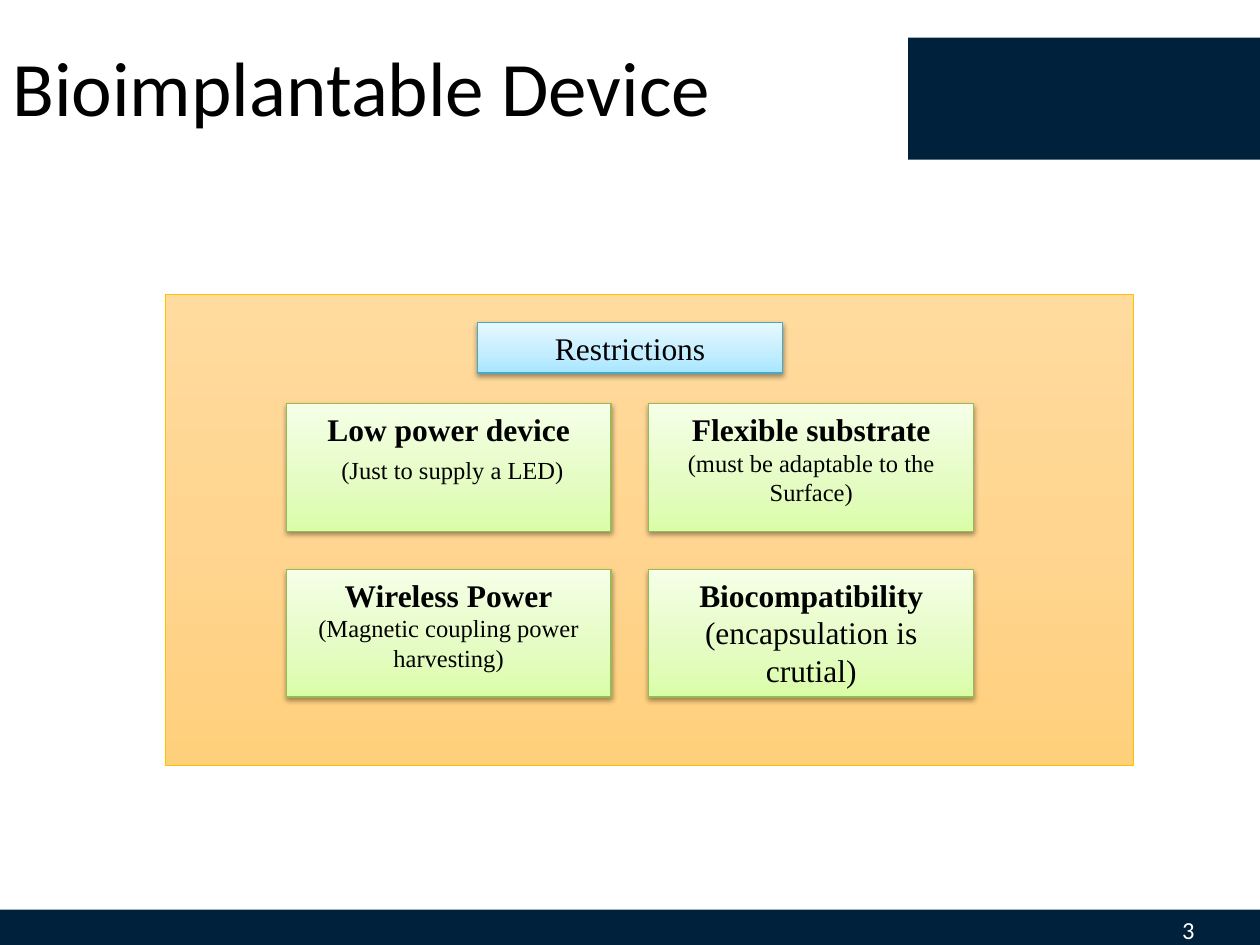
import lxml.etree
import pptx
import pptx.dml.color
import pptx.enum.shapes
import pptx.enum.text
import pptx.oxml.ns
import pptx.util
from dataclasses import dataclass
from pptx.util import Cm

TITLE = "Bioimplantable Device"
PAGE_NUMBER = "3"
HEADING = "Restrictions"
CARDS = [
    [
        ("Low power device", [(" ", 18), ("(Just to supply a LED)", 14)]),
        ("Flexible substrate", [("(must be adaptable to the Surface)", 14)]),
    ],
    [
        ("Wireless Power", [("(Magnetic coupling power harvesting)", 14)]),
        ("Biocompatibility", [("(encapsulation is crutial)", 18)]),
    ],
]

HEADER_BAR = (18.31, 0.76, 7.09, 2.46)
FOOTER_BAR = (0, 18.34, 25.5, 0.79)
NUMBER_BOX = (19.05, 18.34, 5.28, 0.79)
TITLE_BOX = (0, 0, 21.89, 3.68)
PANEL = (3.33, 5.94, 19.53, 9.5)
HEADING_BOX = (9.63, 6.5, 6.15, 1.02)
CARD_ORIGIN = (5.77, 8.14)
CARD_SIZE = (6.55, 2.57)
CARD_GAP = (0.76, 0.77)


@dataclass(frozen=True)
class Theme:
    sans: str = "Calibri"
    serif: str = "Times New Roman"
    navy: str = "00213B"
    black: str = "000000"
    white: str = "FFFFFF"
    title_size: int = 44
    heading_size: int = 18
    number_size: int = 14
    panel_stops: tuple = ((0, "FFDB9E"), (50, "FFD590"), (100, "FFD07C"))
    panel_line: str = "FFC000"
    heading_stops: tuple = ((0, "A7E6FF"), (35, "C1EDFF"), (100, "E7F8FF"))
    heading_line: str = "46AAC5"
    card_stops: tuple = ((0, "DAFDA7"), (35, "E4FCC2"), (100, "F5FFE7"))
    card_line: str = "98B955"


THEME = Theme()
ALIGN = pptx.enum.text.PP_ALIGN
ANCHOR = pptx.enum.text.MSO_ANCHOR


def color(value):
    return pptx.dml.color.RGBColor.from_string(value)


def add_child(parent, tag, **attributes):
    child = lxml.etree.SubElement(parent, pptx.oxml.ns.qn(tag))
    for name, value in attributes.items():
        child.set(name, str(value))
    return child


def add_rectangle(slide, box):
    kind = pptx.enum.shapes.MSO_SHAPE.RECTANGLE
    shape = slide.shapes.add_shape(kind, *map(Cm, box))
    shape.shadow.inherit = False
    return shape


def add_bar(slide, box):
    shape = add_rectangle(slide, box)
    shape.fill.solid()
    shape.fill.fore_color.rgb = color(THEME.navy)
    shape.line.fill.background()


def add_gradient_box(slide, box, stops, angle, line, width):
    shape = add_rectangle(slide, box)
    shape.fill.gradient()
    shape.fill.gradient_angle = angle
    stop_list = next(shape._element.spPr.iter(pptx.oxml.ns.qn("a:gsLst")))
    for stop in list(stop_list):
        stop_list.remove(stop)
    for position, value in stops:
        stop = add_child(stop_list, "a:gs", pos=position * 1000)
        add_child(stop, "a:srgbClr", val=value)
    shape.line.color.rgb = color(line)
    shape.line.width = pptx.util.Pt(width)
    return shape


def add_shadow(shape):
    effects = shape._element.spPr.find(pptx.oxml.ns.qn("a:effectLst"))
    shadow = add_child(effects, "a:outerShdw", blurRad=pptx.util.Pt(3.1),
                       dist=pptx.util.Pt(1.6), dir=90 * 60000, rotWithShape=0)
    shade = add_child(shadow, "a:srgbClr", val=THEME.black)
    add_child(shade, "a:alpha", val=38000)


def write_text(shape, paragraphs, font, value, align, anchor, spacing=None):
    frame = shape.text_frame
    frame.word_wrap = True
    frame.vertical_anchor = anchor
    for index, runs in enumerate(paragraphs):
        paragraph = frame.add_paragraph() if index else frame.paragraphs[0]
        paragraph.alignment = align
        paragraph.line_spacing = spacing
        for text, size, bold in runs:
            run = paragraph.add_run()
            run.text = text
            run.font.name = font
            run.font.size = pptx.util.Pt(size)
            run.font.bold = bold
            run.font.color.rgb = color(value)


def add_label(slide, box, stops, line, paragraphs):
    shape = add_gradient_box(slide, box, stops, 90, line, 0.75)
    add_shadow(shape)
    write_text(shape, paragraphs, THEME.serif, THEME.black, ALIGN.CENTER, ANCHOR.TOP)


def add_cards(slide):
    for row, cards in enumerate(CARDS):
        for column, (name, details) in enumerate(cards):
            left, top = (
                origin + index * (size + gap)
                for origin, index, size, gap
                in zip(CARD_ORIGIN, (column, row), CARD_SIZE, CARD_GAP)
            )
            paragraphs = [
                [(name, THEME.heading_size, True)],
                [(text, size, False) for text, size in details],
            ]
            add_label(slide, (left, top, *CARD_SIZE), THEME.card_stops,
                      THEME.card_line, paragraphs)


def main():
    """Build the slide on the restrictions of a bioimplantable device."""
    presentation = pptx.Presentation()
    presentation.slide_width = Cm(25.4)
    presentation.slide_height = Cm(19.05)
    slide = presentation.slides.add_slide(presentation.slide_layouts[6])

    add_bar(slide, HEADER_BAR)
    add_bar(slide, FOOTER_BAR)
    number = slide.shapes.add_textbox(*map(Cm, NUMBER_BOX))
    write_text(number, [[(PAGE_NUMBER, THEME.number_size, False)]],
               THEME.sans, THEME.white, ALIGN.RIGHT, ANCHOR.MIDDLE)
    title = slide.shapes.add_textbox(*map(Cm, TITLE_BOX))
    write_text(title, [[(TITLE, THEME.title_size, False)]],
               THEME.sans, THEME.black, ALIGN.LEFT, ANCHOR.MIDDLE, 0.9)

    add_gradient_box(slide, PANEL, THEME.panel_stops, 270, THEME.panel_line, 0.5)
    add_label(slide, HEADING_BOX, THEME.heading_stops, THEME.heading_line,
              [[(HEADING, THEME.heading_size, False)]])
    add_cards(slide)
    presentation.save("out.pptx")


if __name__ == "__main__":
    main()
